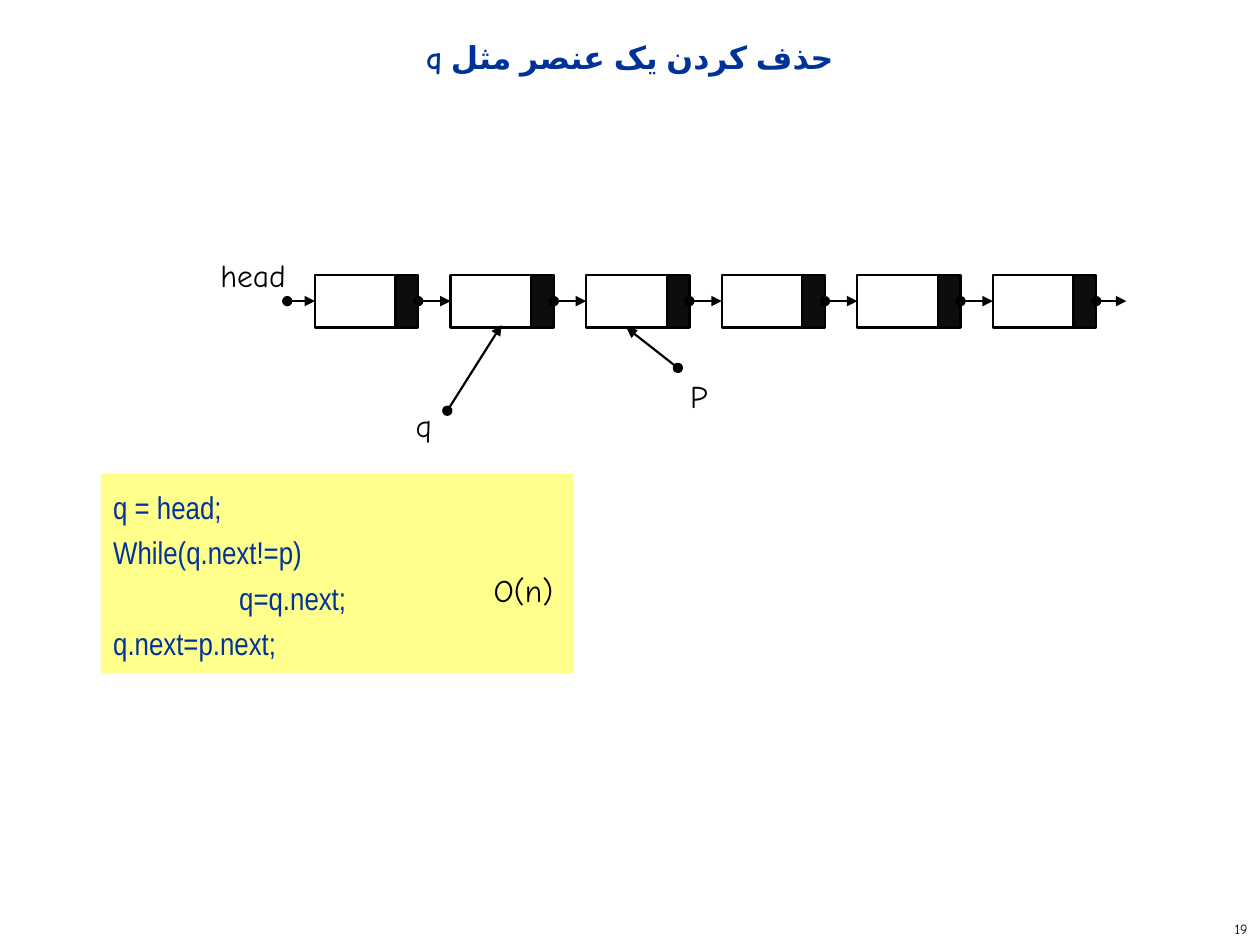
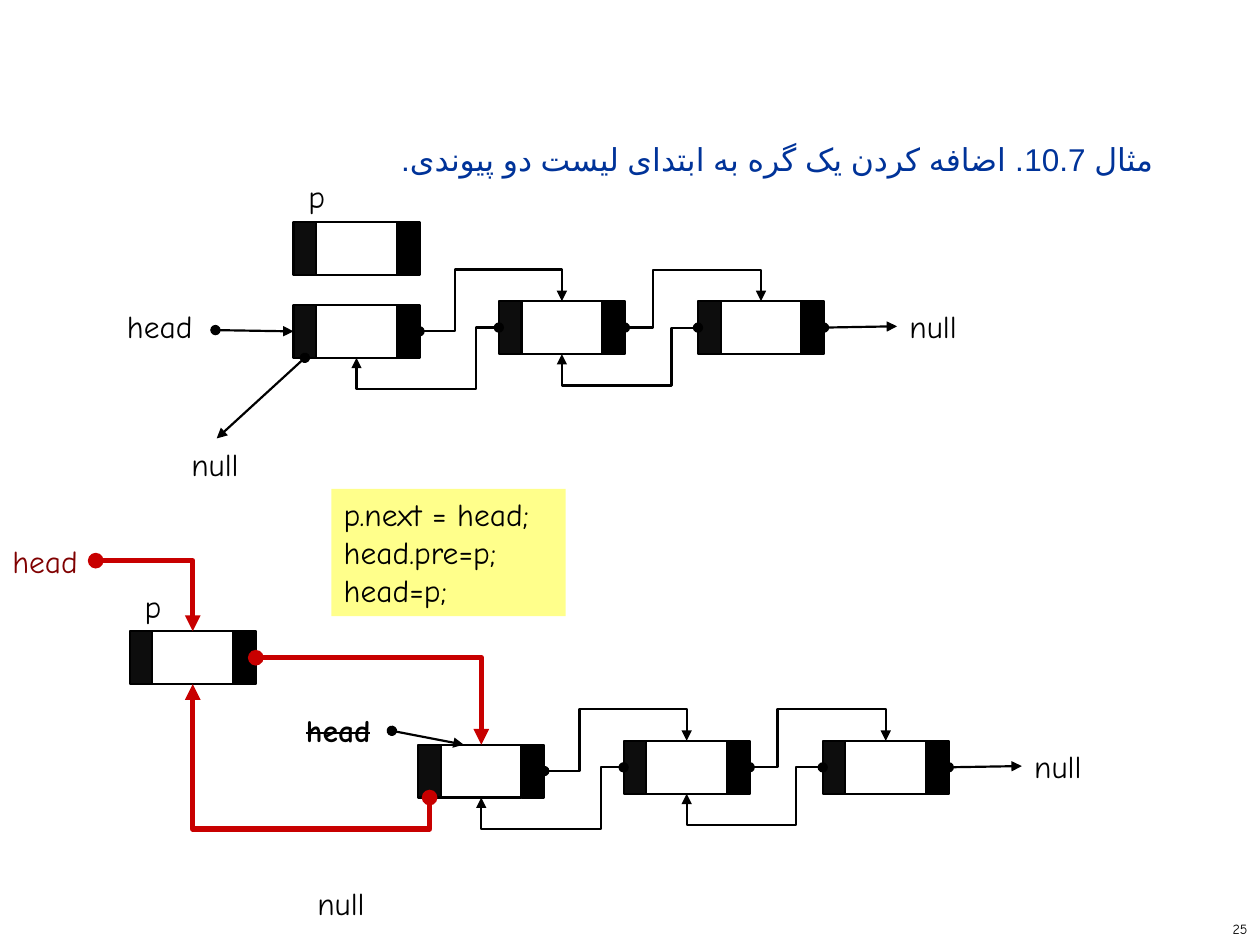
from collections import namedtuple
from dataclasses import dataclass

from lxml import etree
from pptx import Presentation
from pptx.dml.color import RGBColor
from pptx.enum.shapes import MSO_CONNECTOR as Link, MSO_SHAPE as Shape
from pptx.enum.text import MSO_ANCHOR as Anchor, MSO_AUTO_SIZE as AutoSize, PP_ALIGN as Align
from pptx.oxml.ns import qn
from pptx.util import Inches, Pt


@dataclass(frozen=True)
class Theme:
    body_font: str = "Comic Neue"
    code_font: str = "Arial Narrow"
    persian_font: str = "Arial"
    body_size: int = 18
    number_size: int = 8
    leading: int = 26
    thin: float = 1.25
    thick: float = 3
    ink: str = "000000"
    white: str = "FFFFFF"
    dark: str = "0D0D0D"
    navy: str = "003399"
    yellow: str = "FFFF8B"
    red: str = "C80000"
    maroon: str = "800000"


THEME = Theme()
TOP, LEFT, BOTTOM, RIGHT = range(4)
VALUE_WIDTH, LINK_WIDTH, NODE_HEIGHT = 0.64, 0.18, 0.42
LANE = 0.25  # distance of an elbow's long run from the node it enters

Node = namedtuple("Node", "pre value next")


def color(code):
    return RGBColor.from_string(code)


def add_text(page, box, lines, ink=THEME.ink, font=THEME.body_font, size=THEME.body_size,
             wrap=False, align=None, leading=None, bold=None):
    """Place one paragraph per line in a (left, top, width, height) box."""
    text_box = page.shapes.add_textbox(*map(Inches, box))
    frame = text_box.text_frame
    frame.word_wrap = wrap
    for index, line in enumerate(lines):
        para = frame.add_paragraph() if index else frame.paragraphs[0]
        para.text = line
        para.alignment = align
        if leading:
            para.line_spacing = Pt(leading)
        para.font.name, para.font.size, para.font.bold = font, Pt(size), bold
        para.font.color.rgb = color(ink)
    return text_box


def add_label(page, left, top, width, text, **style):
    label = add_text(page, (left, top, width, 0.4), [text], **style)
    label.text_frame.auto_size = AutoSize.SHAPE_TO_FIT_TEXT
    return label


def add_heading(page, box, text, align, bold=None):
    """Persian line, set from right to left."""
    heading = add_text(page, box, [text], ink=THEME.navy, wrap=True, align=align,
                       leading=THEME.leading, bold=bold)
    heading.text_frame.vertical_anchor = Anchor.MIDDLE if bold else Anchor.TOP
    para = heading.text_frame.paragraphs[0]
    para._p.get_or_add_pPr().set("rtl", "1")
    look = para.runs[0]._r.get_or_add_rPr()
    look.set("lang", "fa-IR")
    etree.SubElement(look, qn("a:cs"), typeface=THEME.persian_font)


def add_page_number(page, number):
    box = add_text(page, (7.92, 7.25, 2.08, 0.25), [str(number)],
                   size=THEME.number_size, align=Align.RIGHT)
    box.text_frame.vertical_anchor = Anchor.MIDDLE


def add_code(page, box, lines, **style):
    """Yellow box of code lines with a tab stop at one inch."""
    code = add_text(page, box, lines, **style)
    code.fill.solid()
    code.fill.fore_color.rgb = color(THEME.yellow)
    for para in code.text_frame.paragraphs:
        if "\t" in para.text:
            stops = etree.Element(qn("a:tabLst"))
            etree.SubElement(stops, qn("a:tab"), pos=str(Inches(1)), algn="l")
            settings = para._p.get_or_add_pPr()
            defaults = settings.find(qn("a:defRPr"))
            defaults.addprevious(stops)


def add_cell(page, left, top, width, fill):
    cell = page.shapes.add_shape(Shape.RECTANGLE, *map(Inches, (left, top, width, NODE_HEIGHT)))
    cell.shadow.inherit = False
    cell.fill.solid()
    cell.fill.fore_color.rgb = color(fill)
    cell.line.color.rgb = color(THEME.ink)
    cell.line.width = Pt(THEME.thin)
    return cell


def add_single_node(page, left, top):
    return Node(None, add_cell(page, left, top, VALUE_WIDTH, THEME.white),
                add_cell(page, left + VALUE_WIDTH, top, LINK_WIDTH, THEME.dark))


def add_double_node(page, left, top):
    value_left = left + LINK_WIDTH
    return Node(add_cell(page, left, top, LINK_WIDTH, THEME.dark),
                add_cell(page, value_left, top, VALUE_WIDTH, THEME.white),
                add_cell(page, value_left + VALUE_WIDTH, top, LINK_WIDTH, THEME.ink))


def add_arrow(page, start, end, kind=Link.STRAIGHT, ink=THEME.ink, width=THEME.thin):
    """Join two ends, each an (x, y) point or a (cell, side) pair."""
    joined = [not isinstance(place[0], (int, float)) for place in (start, end)]
    points = [(0, 0) if is_cell else place for place, is_cell in zip((start, end), joined)]
    arrow = page.shapes.add_connector(kind, *[Inches(v) for point in points for v in point])
    if joined[0]:
        arrow.begin_connect(*start)
    if joined[1]:
        arrow.end_connect(*end)
    arrow.line.color.rgb = color(ink)
    arrow.line.width = Pt(width)
    outline = arrow.line._get_or_add_ln()
    for tag, tip in (("a:headEnd", "oval"), ("a:tailEnd", "triangle")):
        etree.SubElement(outline, qn(tag), type=tip)
    etree.SubElement(arrow._element.spPr, qn("a:effectLst"))
    return arrow


def shape_elbow(arrow, preset, *ratios):
    geometry = arrow._element.spPr.find(qn("a:prstGeom"))
    geometry.set("prst", preset)
    guides = geometry.find(qn("a:avLst"))
    for index, ratio in enumerate(ratios, 1):
        etree.SubElement(guides, qn("a:gd"), name=f"adj{index}",
                         fmla=f"val {round(ratio * 100000)}")


def add_side_step(page, start, end, reach):
    """Elbow that leaves sideways by reach, then runs along a lane beyond the target."""
    arrow = add_arrow(page, start, end, Link.ELBOW)
    shape_elbow(arrow, "bentConnector4", Inches(reach) / arrow.width,
                1 + Inches(LANE) / arrow.height)


def add_red_corner(page, start, end):
    arrow = add_arrow(page, start, end, Link.ELBOW, THEME.red, THEME.thick)
    shape_elbow(arrow, "bentConnector2")


def add_red_underpass(page, start, end):
    """Elbow between two bottom sides: a quarter-turned three-part connector."""
    arrow = add_arrow(page, start, end, Link.ELBOW, THEME.red, THEME.thick)
    ends = [(arrow.begin_x, arrow.begin_y), (arrow.end_x, arrow.end_y)]
    middle_x, middle_y = (sum(axis) // 2 for axis in zip(*ends))
    turned = [(middle_x + y - middle_y, middle_y - x + middle_x) for x, y in ends]
    (arrow.begin_x, arrow.begin_y), (arrow.end_x, arrow.end_y) = turned
    arrow._element.spPr.find(qn("a:xfrm")).set("rot", str(90 * 60000))
    shape_elbow(arrow, "bentConnector3", -Inches(LANE) / arrow.width)


def add_single_list(page, left, top, count=6):
    pitch = 5.38 / 5
    middle = top + NODE_HEIGHT / 2
    nodes = [add_single_node(page, left + index * pitch, top) for index in range(count)]
    for node, follower in zip(nodes, nodes[1:]):
        add_arrow(page, (node.next, RIGHT), (follower.value, LEFT))
    add_arrow(page, (nodes[-1].next, RIGHT), (left + 6.44, middle))
    add_arrow(page, (left - 0.22, middle), (nodes[0].value, LEFT))
    add_label(page, left - 0.85, top - 0.2, 0.76, "head")
    return nodes


def add_double_list(page, left, top):
    """Three nodes linked both ways, the first one slightly lower, ending in null."""
    nodes = [add_double_node(page, left + across, top + down)
             for across, down in ((0, 0.03), (1.63, 0), (3.21, 0))]
    for node, follower, forth, back in zip(nodes, nodes[1:], (0.28, 0.22), (0.18, 0.21)):
        add_side_step(page, (node.next, RIGHT), (follower.value, TOP), forth)
        add_side_step(page, (follower.pre, LEFT), (node.value, BOTTOM), back)
    add_arrow(page, (nodes[-1].next, RIGHT), (left + 4.79, top + 0.2))
    add_label(page, left + 4.79, top, 0.6, "null")
    return nodes


def add_new_node(page, left, top):
    add_label(page, left + 0.02, top - 0.4, 0.34, "p")
    return add_double_node(page, left, top)


def build_deletion(page):
    add_heading(page, (0, 0.17, 10, 0.5), "حذف کردن یک عنصر مثل q", Align.CENTER, bold=True)
    add_page_number(page, 19)
    add_code(page, (0.8, 3.76, 3.75, 1.58),
             ["q = head;", "While(q.next!=p)", "\tq=q.next;", "q.next=p.next;"],
             ink=THEME.navy, font=THEME.code_font, wrap=True, leading=THEME.leading)
    add_label(page, 3.82, 4.48, 0.72, "O(n)")
    nodes = add_single_list(page, 2.5, 2.18)
    add_arrow(page, (5.38, 2.92), (nodes[2].value, BOTTOM))
    add_label(page, 5.38, 2.94, 0.33, "P")
    add_arrow(page, (3.55, 3.26), (3.98, 2.58))
    add_label(page, 3.2, 3.17, 0.33, "q")


def build_list_before(page):
    first = add_double_list(page, 2.33, 2.39)[0]
    add_new_node(page, 2.33, 1.76)
    add_label(page, 0.91, 2.39, 0.76, "head")
    add_arrow(page, (1.71, 2.62), (first.pre, LEFT))
    add_label(page, 1.42, 3.48, 0.6, "null")
    add_arrow(page, (first.pre, BOTTOM), (1.72, 3.48))


def build_list_after(page):
    first = add_double_list(page, 3.32, 5.88)[0]
    added = add_new_node(page, 1.03, 5.01)
    add_label(page, 0, 4.25, 0.76, "head", ink=THEME.maroon)
    add_red_corner(page, (0.76, 4.45), (added.value, TOP))
    add_red_corner(page, (added.next, RIGHT), (first.value, TOP))
    add_red_underpass(page, (first.pre, BOTTOM), (added.value, BOTTOM))
    old_head = add_label(page, 2.33, 5.59, 0.78, "head", bold=True)
    span = old_head.text_frame.paragraphs[0].runs[0]
    span._r.get_or_add_rPr().set("strike", "sngStrike")
    add_arrow(page, (3.11, 5.8), (3.68, 5.91))
    add_label(page, 2.42, 6.97, 0.6, "null")


def build_insertion(page):
    add_heading(page, (0.67, 1, 8.58, 0.57),
                "مثال 10.7. اضافه کردن یک گره به ابتدای لیست دو پیوندی.", Align.RIGHT)
    add_page_number(page, 25)
    build_list_before(page)
    add_code(page, (2.63, 3.88, 1.86, 1.01), ["p.next = head;", "head.pre=p;", "head=p;"])
    build_list_after(page)


def main():
    deck = Presentation()
    deck.slide_width, deck.slide_height = Inches(10), Inches(7.5)
    for build in (build_deletion, build_insertion):
        build(deck.slides.add_slide(deck.slide_layouts[6]))
    deck.save("out.pptx")


if __name__ == "__main__":
    main()
